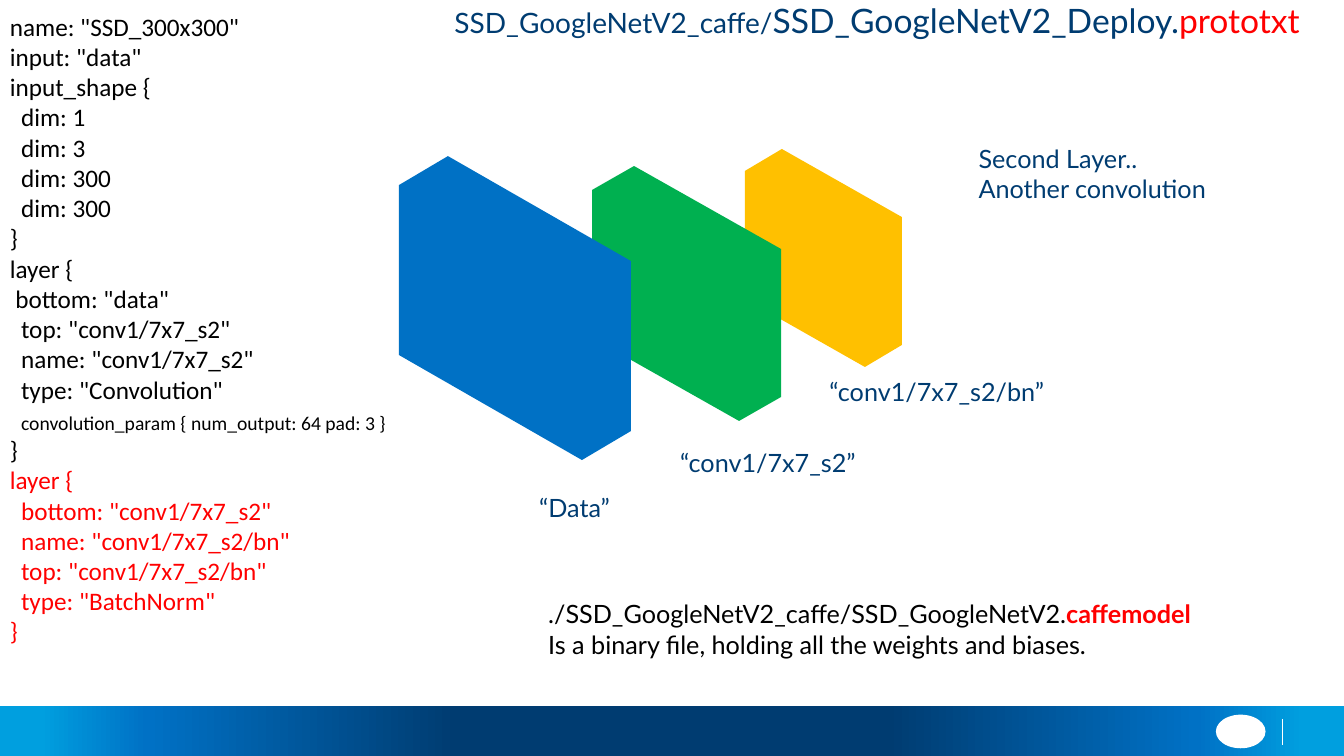
"""Build a slide that pairs a network definition with its first layers."""
from lxml import etree
from pptx import Presentation
from pptx.dml.color import RGBColor
from pptx.enum.shapes import MSO_CONNECTOR, MSO_SHAPE
from pptx.enum.text import PP_ALIGN
from pptx.oxml.ns import qn
from pptx.util import Pt

RECT, OVAL = MSO_SHAPE.RECTANGLE, MSO_SHAPE.OVAL
LINE = MSO_CONNECTOR.STRAIGHT
LEFT, MID = PP_ALIGN.LEFT, PP_ALIGN.CENTER
HUES = {"navy": "003C71", "blue": "0071C5", "sky": "009FDF", "green": "00B050",
        "gold": "FFC000", "red": "FF0000", "black": "000000", "white": "FFFFFF"}

deck = Presentation()
deck.slide_width, deck.slide_height = Pt(960), Pt(540)
slide = deck.slides.add_slide(deck.slide_layouts[6])
shapes = slide.shapes


def frame(x, y, w, h, wrap=False):
    """Add a text box and return its text frame."""
    body = shapes.add_textbox(Pt(x), Pt(y), Pt(w), Pt(h)).text_frame
    body.word_wrap = wrap
    return body


def write(body, text, size=18, hue="navy", font="Lato", bold=False,
          align=LEFT, new=True, gap=None, indent=0):
    """Write a run, in a new paragraph unless new is False."""
    para = body.paragraphs[-1]
    if new and para.runs:
        para = body.add_paragraph()
    if new:
        para.alignment = align
        para.line_spacing = gap
        para._p.get_or_add_pPr().set("marL", str(Pt(indent)))
    run = para.add_run()
    run.text = text
    run.font.name, run.font.size, run.font.bold = font, Pt(size), bold
    run.font.color.rgb = RGBColor.from_string(HUES[hue])


band = shapes.add_shape(RECT, 0, Pt(504.5), Pt(960), Pt(35.5))
band.shadow.inherit = False
band.line.fill.background()
band.fill.gradient()
band.fill.gradient_angle = 0
stops = band._element.spPr.find(qn("a:gradFill")).find(qn("a:gsLst"))
for stop in list(stops):
    stops.remove(stop)
for place, hue in [(3, "sky"), (11, "blue"), (34, "navy"),
                   (66, "navy"), (89, "blue"), (97, "sky")]:
    stop = etree.SubElement(stops, qn("a:gs"), pos=str(place * 1000))
    etree.SubElement(stop, qn("a:srgbClr"), val=HUES[hue])

rule = shapes.add_connector(LINE, Pt(916), Pt(513.5), Pt(916), Pt(532))
rule.line.width = Pt(0.25)
rule.line.color.rgb = RGBColor.from_string(HUES["white"])
etree.SubElement(rule._element.spPr, qn("a:effectLst"))

badge = shapes.add_shape(OVAL, Pt(868.5), Pt(510.5), Pt(35.5), Pt(24))
badge.shadow.inherit = False
badge.fill.solid()
badge.fill.fore_color.rgb = RGBColor.from_string(HUES["white"])
badge.line.fill.background()

SLABS = [("gold", 532.1, 106.4, 112.1, 155.7, 26.4, 15.7, 48.6),
         ("green", 422.9, 118.6, 135, 182.1, 30, 17.1, 59.3),
         ("blue", 285, 111.5, 165.7, 217.1, 35, 20.7, 75)]
for hue, x, y, w, h, edge, rise, drop in SLABS:
    dots = [(x, y + rise), (x + edge, y), (x + w, y + drop),
            (x + w, y + h - rise), (x + w - edge, y + h), (x, y + h - drop)]
    dots = [(Pt(a), Pt(b)) for a, b in dots]
    pen = shapes.build_freeform(*dots[0])
    pen.add_line_segments(dots[1:], close=True)
    slab = pen.convert_to_shape()
    slab.shadow.inherit = False
    slab.fill.solid()
    slab.fill.fore_color.rgb = RGBColor.from_string(HUES[hue])
    slab.line.fill.background()

LABELS = [("“Data”", 377.3, 347.8, 66.2, MID),
          ("“conv1/7x7_s2”", 478.8, 316.1, 144.7, LEFT),
          ("“conv1/7x7_s2/bn”", 585.4, 265, 173.5, LEFT)]
for text, x, y, w, align in LABELS:
    write(frame(x, y, w, 28.8), text, align=align)

note = frame(691.9, 98.6, 183.6, 51.1)
write(note, "Second Layer..")
write(note, "Another convolution")

model = frame(384.5, 424.1, 490.3, 51.1)
write(model, "./SSD_GoogleNetV2_caffe/SSD_GoogleNetV2.", hue="black")
write(model, "caffemodel", hue="red", bold=True, new=False)
write(model, "Is a binary file, holding all the weights and biases.", hue="black")

title = frame(317.5, 4.3, 635, 29.5, wrap=True)
write(title, "SSD_GoogleNetV2_caffe/", size=20, gap=0.7)
write(title, "SSD_GoogleNetV2_Deploy.", size=24, new=False)
write(title, "prototxt", size=24, hue="red", new=False)

CODE = '''name: "SSD_300x300"
input: "data"
input_shape {
  dim: 1
  dim: 3
  dim: 300
  dim: 300
}
layer {
 bottom: "data"
  top: "conv1/7x7_s2"
  name: "conv1/7x7_s2"
  type: "Convolution"
  convolution_param { num_output: 64 pad: 3 }
}
layer {
  bottom: "conv1/7x7_s2"
  name: "conv1/7x7_s2/bn"
  top: "conv1/7x7_s2/bn"
  type: "BatchNorm"
}'''
code = frame(0, 4.3, 288, 505.4, wrap=True)
for row, line in enumerate(CODE.splitlines()):
    text = line.lstrip()
    write(code, text, font="Calibri", gap=Pt(21.6),
          size=14 if text.startswith("convolution_param") else 18,
          hue="red" if row >= 15 else "black",
          indent=4 * (len(line) - len(text)))

deck.save("out.pptx")
